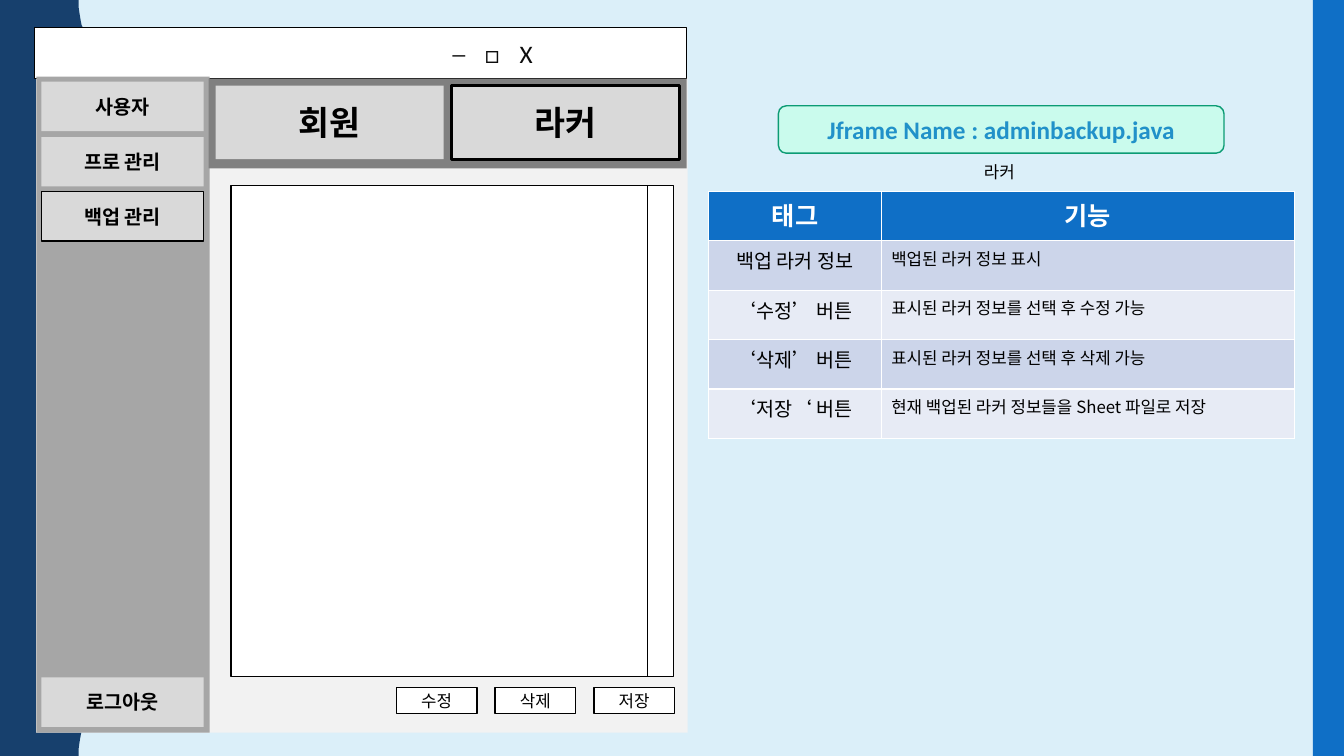
from lxml.etree import SubElement
from pptx import Presentation
from pptx.dml.color import RGBColor
from pptx.enum.shapes import MSO_CONNECTOR as CONNECTOR, MSO_SHAPE as SHAPE
from pptx.enum.text import MSO_ANCHOR as ANCHOR, PP_ALIGN as ALIGN
from pptx.oxml.ns import qn
from pptx.util import Inches, Pt

KOREAN_FONT = "Noto Sans CJK KR"
BLACK, WHITE, BLUE, BUTTON_GRAY = "000000", "FFFFFF", "0F6FC6", "D9D9D9"

# One wave of the left edge: x at each y, from trough to crest
HALF_WAVE = [(0.78, 0), (0.78, 0.07), (0.79, 0.14), (0.8, 0.2), (0.81, 0.25),
             (0.83, 0.29), (0.87, 0.38), (0.91, 0.46), (0.93, 0.5),
             (0.95, 0.55), (0.96, 0.61), (0.97, 0.68), (0.97, 0.75)]
WAVE_HEIGHT = 1.5
WAVE_COUNT = 5

FUNCTIONS = [
    ("태그", "기능"),
    ("백업 라커 정보", "백업된 라커 정보 표시"),
    ("‘수정’ 버튼", "표시된 라커 정보를 선택 후 수정 가능"),
    ("‘삭제’ 버튼", "표시된 라커 정보를 선택 후 삭제 가능"),
    ("‘저장‘ 버튼", "현재 백업된 라커 정보들을 Sheet 파일로 저장"),
]


def rgb(color):
    return RGBColor.from_string(color)


def paint(shape, fill, line=None, width=1):
    shape.shadow.inherit = False
    shape.fill.solid()
    shape.fill.fore_color.rgb = rgb(fill)
    if line:
        shape.line.color.rgb = rgb(line)
        shape.line.width = Pt(width)
    else:
        shape.line.fill.background()


def write(frame, text, size, color=BLACK, bold=False, font="Arial",
          align=ALIGN.CENTER):
    paragraph = frame.paragraphs[0]
    paragraph.text = text
    paragraph.alignment = align
    for run in paragraph.runs:
        run.font.size = Pt(size)
        run.font.bold = bold
        run.font.name = font
        run.font.color.rgb = rgb(color)
        SubElement(run.font._element, qn("a:ea"), typeface=KOREAN_FONT)
    return paragraph


def add_box(shapes, box, fill, line=None, width=1, kind=SHAPE.RECTANGLE):
    shape = shapes.add_shape(kind, *map(Inches, box))
    paint(shape, fill, line, width)
    shape.text_frame.vertical_anchor = ANCHOR.MIDDLE
    return shape


def add_button(shapes, box, label, size, fill=BUTTON_GRAY, line=None, width=1,
               bold=True):
    button = add_box(shapes, box, fill, line, width)
    write(button.text_frame, label, size, bold=bold)


def add_line(shapes, start, end, color, width):
    line = shapes.add_connector(CONNECTOR.STRAIGHT,
                                *map(Inches, (*start, *end)))
    line.line.color.rgb = rgb(color)
    line.line.width = Pt(width)
    SubElement(line._element.spPr, qn("a:effectLst"))


def add_backdrop(slide):
    slide.background.fill.solid()
    slide.background.fill.fore_color.rgb = rgb("DBEFF9")
    # The second half of each wave mirrors the first
    wave = HALF_WAVE + [(x, WAVE_HEIGHT - y) for x, y in HALF_WAVE[-2::-1]]
    edge = [(x, y + i * WAVE_HEIGHT) for i in range(WAVE_COUNT) for x, y in wave]
    points = [(Inches(x), Inches(y)) for x, y in edge + [(0, 7.5)]]
    builder = slide.shapes.build_freeform(0, 0)
    builder.add_line_segments(points, close=True)
    paint(builder.convert_to_shape(), "17406D")
    add_box(slide.shapes, (13.02, 0, 0.31, 7.5), BLUE)


def add_title_bar(shapes):
    bar = add_box(shapes, (0.34, 0.27, 6.47, 0.51), WHITE, BLACK, 0.25)
    controls = write(bar.text_frame, "─ □ X", 18, "0D0D0D", font="Calibri",
                     align=ALIGN.LEFT)
    # Indent the window controls and widen their letter spacing
    properties = controls._p.get_or_add_pPr()
    properties.set("marL", str(Inches(4.05)))
    properties.set("indent", "0")
    for run in controls.runs:
        run.font._element.set("spc", "500")


def add_window(slide):
    window = slide.shapes.add_group_shape().shapes
    add_box(window, (0.36, 0.76, 6.46, 6.51), "F2F2F2")
    add_title_bar(window)

    # Side menu
    add_box(window, (0.36, 0.76, 1.72, 6.51), "A6A6A6")
    menu = [("사용자", 0.81, None), ("프로 관리", 1.36, None),
            ("백업 관리", 1.9, BLACK), ("로그아웃", 6.72, None)]
    for label, top, line in menu:
        add_button(window, (0.41, top, 1.61, 0.49), label, 14, line=line)

    # Tabs
    add_box(window, (2.07, 0.78, 4.74, 0.89), "808080")
    for label, left, line in (("회원", 2.14, None), ("라커", 4.48, BLACK)):
        add_button(window, (left, 0.85, 2.26, 0.73), label, 24, line=line,
                   width=2.25)

    # Locker list with its scroll bar
    locker_list = slide.shapes.add_group_shape().shapes
    add_box(locker_list, (2.29, 1.84, 4.39, 4.87), WHITE, BLACK)
    add_line(locker_list, (6.42, 1.84), (6.42, 6.72), BLACK, 0.5)

    # Action buttons
    for i, label in enumerate(("수정", "삭제", "저장")):
        add_button(slide.shapes, (3.93 + i * 0.98, 6.82, 0.8, 0.26), label, 12,
                   WHITE, BLACK, bold=False)


def add_function_table(slide):
    frame = slide.shapes.add_table(len(FUNCTIONS), 2, Inches(7.03), Inches(1.9),
                                   Inches(5.81), Inches(2.45))
    table = frame.table
    for column, width in zip(table.columns, (1.71, 4.1)):
        column.width = Inches(width)
    for r, texts in enumerate(FUNCTIONS):
        header = r == 0
        fill = BLUE if header else ("E7EBF5", "CCD5EA")[r % 2]
        for c, text in enumerate(texts):
            cell = table.cell(r, c)
            cell.fill.solid()
            cell.fill.fore_color.rgb = rgb(fill)
            write(cell.text_frame, text, 18 if header else (14, 12)[c],
                  WHITE if header else BLACK, header, KOREAN_FONT,
                  ALIGN.CENTER if header or c == 0 else ALIGN.LEFT)


def add_heading(slide):
    heading = add_box(slide.shapes, (7.72, 1.05, 4.42, 0.47), "CAFBED", "0C9B74",
                      kind=SHAPE.ROUNDED_RECTANGLE)
    write(heading.text_frame, "Jframe Name : adminbackup.java", 18, "2191C9",
          True, "Calibri")
    caption = slide.shapes.add_textbox(*map(Inches, (9.66, 1.56, 0.54, 0.3)))
    caption.text_frame.word_wrap = False
    write(caption.text_frame, "라커", 12, align=ALIGN.LEFT)


def main():
    presentation = Presentation()
    presentation.slide_width = Inches(13.33)
    presentation.slide_height = Inches(7.5)
    slide = presentation.slides.add_slide(presentation.slide_layouts[6])
    add_backdrop(slide)
    add_window(slide)
    add_function_table(slide)
    add_heading(slide)
    presentation.save("out.pptx")


if __name__ == "__main__":
    main()
